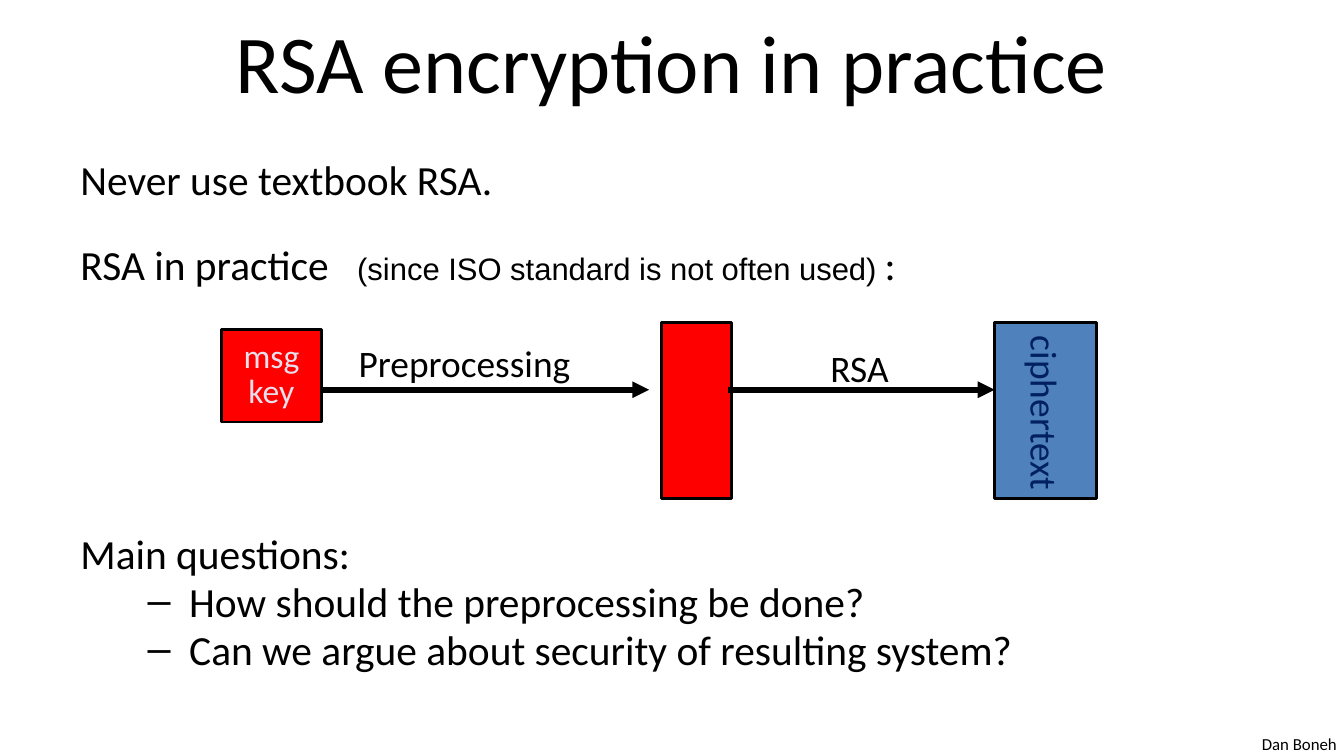
from lxml.etree import SubElement as Sub
from pptx import Presentation
from pptx.dml.color import RGBColor
from pptx.enum.shapes import MSO_CONNECTOR as Conn, MSO_SHAPE as Shape
from pptx.enum.text import MSO_ANCHOR as Anchor, PP_ALIGN as Align
from pptx.oxml.ns import qn
from pptx.util import Inches, Pt

BLACK = RGBColor(0x00, 0x00, 0x00)
RED = RGBColor(0xFF, 0x00, 0x00)
BLUE = RGBColor(0x4F, 0x81, 0xBD)
NAVY = RGBColor(0x00, 0x20, 0x60)
PALE = RGBColor(0xE6, 0xE0, 0xEC)
BODY = 22.2


def style(run, size, color=BLACK, face="Calibri"):
    """Set the size, colour and face of a run."""
    run.font.size = Pt(size)
    run.font.name = face
    run.font.color.rgb = color


def fill_text(frame, lines, size, color=BLACK, align=Align.LEFT):
    """Write one styled paragraph for each line."""
    frame.text = "\n".join(lines)
    for para in frame.paragraphs:
        para.alignment = align
        for run in para.runs:
            style(run, size, color)


def add_text(slide, box, lines, size, align=Align.LEFT, wrap=False):
    """Add a text box and return its frame."""
    frame = slide.shapes.add_textbox(*map(Inches, box)).text_frame
    frame.word_wrap = wrap
    fill_text(frame, lines, size, align=align)
    return frame


def add_block(slide, box, fill):
    """Add an outlined rectangle."""
    block = slide.shapes.add_shape(Shape.RECTANGLE, *map(Inches, box))
    block.shadow.inherit = False
    block.fill.solid()
    block.fill.fore_color.rgb = fill
    block.line.color.rgb = BLACK
    block.line.width = Pt(1.5)
    block.text_frame.word_wrap = False
    block.text_frame.vertical_anchor = Anchor.MIDDLE
    return block


def add_arrow(slide, start, end, y):
    """Add a level arrow from start to end."""
    ends = map(Inches, (start, y, end, y))
    arrow = slide.shapes.add_connector(Conn.STRAIGHT, *ends)
    arrow.line.color.rgb = BLACK
    arrow.line.width = Pt(3)
    Sub(arrow.line._get_or_add_ln(), qn("a:tailEnd"), type="triangle")
    Sub(arrow._element.spPr, qn("a:effectLst"))


def add_title(slide, box):
    """Place the centred heading."""
    frame = add_text(slide, box, ["RSA encryption in practice"], 44, Align.CENTER, True)
    frame.vertical_anchor = Anchor.MIDDLE


def add_intro(slide, box):
    """Place the two opening statements."""
    lines = ["Never use textbook RSA.", "RSA in practice"]
    frame = add_text(slide, box, lines, BODY, wrap=True)
    for para in frame.paragraphs:
        para.line_spacing = 0.8
    para = frame.paragraphs[1]
    para.space_before = Pt(24)
    tabs = Sub(para._p.get_or_add_pPr(), qn("a:tabLst"))
    Sub(tabs, qn("a:tab"), pos=str(Inches(2.06)), algn="l")
    for text, size, face in (
        ("\t", BODY, "Calibri"),
        ("(since ISO standard is not often used) ", 16.6, "Arial"),
        (":", BODY, "Calibri"),
    ):
        run = para.add_run()
        run.text = text
        style(run, size, face=face)


def add_flow(slide, box):
    """Place the chain from message key to ciphertext."""
    x, y, wide, high = box
    mid = y + 0.5

    key = add_block(slide, (x, y + 0.05, 0.74, 0.69), RED)
    fill_text(key.text_frame, ["msg", "key"], 18, PALE, Align.CENTER)
    for para in key.text_frame.paragraphs:
        para.line_spacing = Pt(18.6)
    add_block(slide, (x + 3.27, y, 0.52, high), RED)

    add_arrow(slide, x + 0.75, x + 3.18, mid)
    add_text(slide, (x + 0.92, y + 0.08, 1.8, 0.44), ["Preprocessing"], 20)
    add_arrow(slide, x + 3.77, x + wide - 0.76, mid)
    add_text(slide, (x + 4.43, y + 0.12, 0.65, 0.44), ["RSA"], 20)

    cipher = add_block(slide, (x + wide - 0.76, y, 0.76, high), BLUE)
    fill_text(cipher.text_frame, ["ciphertext"], 20, NAVY)
    cipher._element.txBody.find(qn("a:bodyPr")).set("vert", "eaVert")


def add_questions(slide, box):
    """Place the closing questions with dash bullets."""
    lines = [
        "Main questions:",
        "How should the preprocessing be done?",
        "Can we argue about security of resulting system?",
    ]
    frame = add_text(slide, box, lines, BODY, wrap=True)
    for para in frame.paragraphs:
        para.line_spacing = 0.8
    for para in frame.paragraphs[1:]:
        para.level = 1
        para.space_before = Pt(4.4)
        props = para._p.get_or_add_pPr()
        props.set("marL", str(Inches(0.81)))
        props.set("indent", str(Inches(-0.31)))
        Sub(props, qn("a:buFont"), typeface="Arial")
        Sub(props, qn("a:buChar"), char="–")


def main():
    """Build and save the slide."""
    deck = Presentation()
    deck.slide_width = Inches(10)
    deck.slide_height = deck.slide_width * 9 // 16
    slide = deck.slides.add_slide(deck.slide_layouts[6])
    add_text(slide, (9.29, 5.41, 0.76, 0.25), ["Dan Boneh"], 9)
    add_title(slide, (0.5, -0.02, 9, 0.94))
    add_intro(slide, (0.5, 1.17, 8.94, 1))
    add_flow(slide, (1.65, 2.4, 6.51, 1.31))
    add_questions(slide, (0.5, 3.95, 8.94, 1.27))
    deck.save("out.pptx")


if __name__ == "__main__":
    main()
